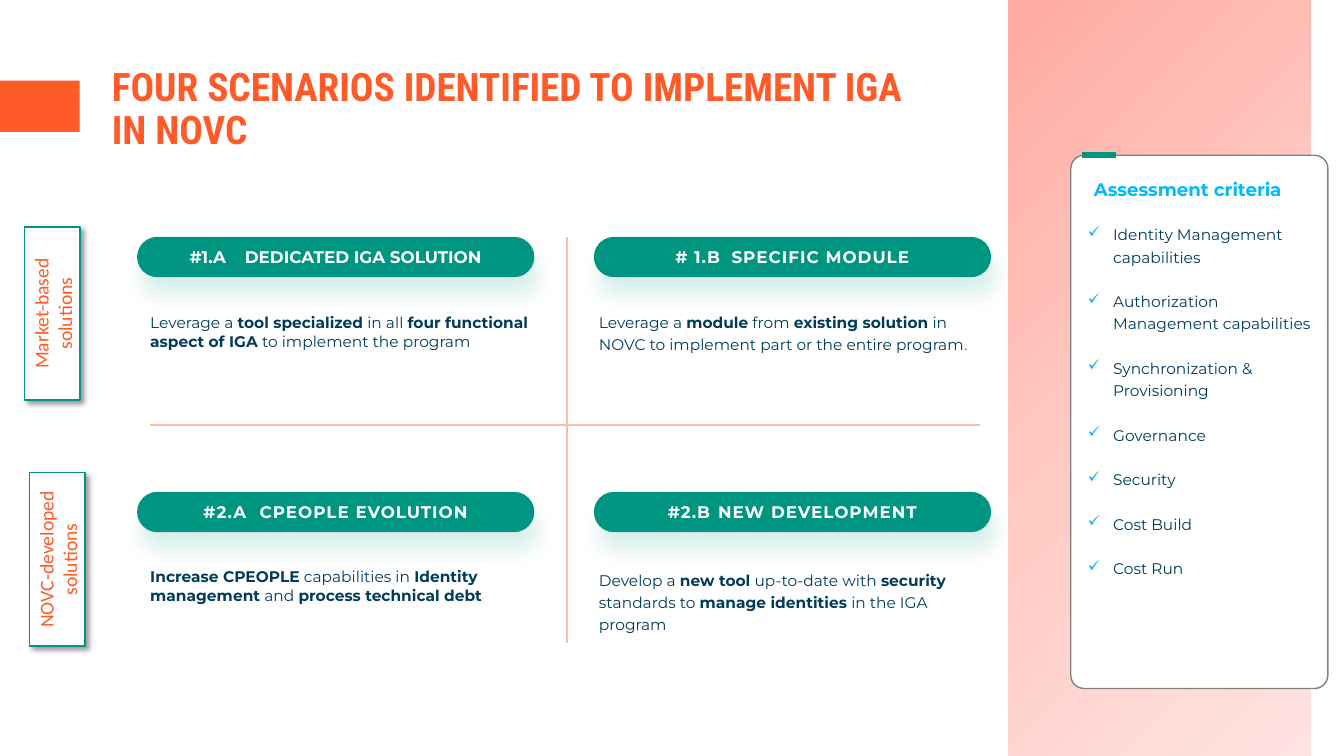
"""Build the slide on four scenarios to implement IGA."""
import pptx
import pptx.dml.color
import pptx.enum.shapes
import pptx.enum.text
import pptx.oxml
import pptx.util
from lxml import etree

TITLE = "FOUR SCENARIOS IDENTIFIED TO IMPLEMENT IGA IN NOVC"
CRITERIA_HEADING = "Assessment criteria"
CRITERIA = (
    "Identity Management capabilities",
    "Authorization Management capabilities",
    "Synchronization & Provisioning",
    "Governance",
    "Security",
    "Cost Build",
    "Cost Run",
)
FAMILIES = (
    ("Market-based solutions", 0.52, 3.11),
    ("NOVC-developed solutions", 0.57, 5.55),
)
# Wording alternates between regular and bold, starting with regular.
SCENARIOS = (
    dict(column=0, row=0, label="#1.A\t DEDICATED IGA SOLUTION", tracking=0, wrap=False,
         drop=0.76, width=3.91, after=0, closing="",
         wording=("Leverage a ", "tool specialized", " in all ",
                  "four functional aspect of IGA", " to implement the program")),
    dict(column=0, row=1, label="#2.A\t CPEOPLE EVOLUTION", tracking=70, wrap=True,
         drop=0.75, width=3.58, after=4, closing="",
         wording=("", "Increase CPEOPLE", " capabilities in ", "Identity management",
                  " and ", "process technical debt")),
    dict(column=1, row=0, label="# 1.B\t SPECIFIC MODULE", tracking=70, wrap=False,
         drop=0.72, width=3.94, after=10, closing=".",
         wording=("Leverage a ", "module", " from ", "existing solution",
                  " in NOVC to implement part or the entire program")),
    dict(column=1, row=1, label="#2.B\tNEW\u00a0DEVELOPMENT".replace("\u00a0", " "),
         tracking=70, wrap=True, drop=0.75, width=3.58, after=10, closing="",
         wording=("Develop a ", "new tool", " up-to-date with ", "security",
                  " standards to ", "manage identities", " in the IGA program")),
)
COLOURS = dict(orange="FF5A28", green="009580", navy="003C5A", teal="006B8D", sky="00B9FF",
               tick="00B0F0", peach="FFBDA9", grey="808080", white="FFFFFF", black="000000")
SIDEBAR_FADE = ((0, "FFABA1"), (50, "FFCCC6"), (100, "FFE6E3"))
SIDEBAR_OUTLINE = ((10.45, 0), (13.33, 0), (13.33, 7.5), (10.17, 7.5), (10.18, 6.96),
                   (10.32, 3.39))
WIDTH, HEIGHT = 13.33, 7.5
COLUMNS, ROWS = (1.36, 5.89), (2.35, 4.88)
BODY_INDENTS, BODY_SPACING = (0.13, 0.05), (1.0, 1.2)
PILL = (3.94, 0.4)
TAG = (1.72, 0.55)

Inches, Pt = pptx.util.Inches, pptx.util.Pt
SHAPES = pptx.enum.shapes.MSO_SHAPE
MIDDLE = pptx.enum.text.MSO_ANCHOR.MIDDLE
CENTER = pptx.enum.text.PP_ALIGN.CENTER
DRAWING = "http://schemas.openxmlformats.org/drawingml/2006/main"


def rgb(name):
    return pptx.dml.color.RGBColor.from_string(COLOURS.get(name, name))


def child(parent, tag, **attributes):
    return etree.SubElement(parent, f"{{{DRAWING}}}{tag}",
                            {key: str(value) for key, value in attributes.items()})


def add_run(paragraph, wording, size, face, colour, bold=False, tracking=0):
    run = paragraph.add_run()
    run.text = wording
    run.font.size, run.font.name, run.font.bold = Pt(size), face, bold
    run.font.color.rgb = rgb(colour)
    if tracking:
        run.font._element.set("spc", str(tracking))


def set_margins(frame, horizontal=0, vertical=0):
    frame.margin_left = frame.margin_right = Inches(horizontal)
    frame.margin_top = frame.margin_bottom = Inches(vertical)


def add_text(slide, box, horizontal=0):
    frame = slide.shapes.add_textbox(*map(Inches, box)).text_frame
    frame.word_wrap = True
    set_margins(frame, horizontal)
    return frame


def add_panel(slide, preset, box, fill, line=None):
    panel = slide.shapes.add_shape(preset, *map(Inches, box))
    panel.shadow.inherit = False
    panel.fill.solid()
    panel.fill.fore_color.rgb = rgb(fill)
    if line:
        panel.line.color.rgb = rgb(line)
        panel.line.width = Pt(1)
    else:
        panel.line.fill.background()
    return panel


def add_shadow(panel, colour, opacity, blur, distance, angle):
    effects = panel._element.spPr.find(f"{{{DRAWING}}}effectLst")
    shadow = child(effects, "outerShdw", blurRad=Pt(blur), dist=Pt(distance),
                   dir=angle * 60000, algn="t", rotWithShape=0)
    child(child(shadow, "srgbClr", val=COLOURS[colour]), "alpha", val=opacity * 1000)


def add_line(slide, start, end, colour, width):
    line = slide.shapes.add_connector(pptx.enum.shapes.MSO_CONNECTOR.STRAIGHT,
                                      *map(Inches, start + end))
    line.line.color.rgb = rgb(colour)
    line.line.width = Pt(width)
    child(line._element.spPr, "effectLst")


def add_title(slide):
    add_panel(slide, SHAPES.RECTANGLE, (0, 0.8, 0.79, 0.51), "orange")
    frame = add_text(slide, (1.07, 0.76, 7.95, 0.67), 0.04)
    frame.vertical_anchor = MIDDLE
    frame.paragraphs[0].line_spacing = 0.9
    add_run(frame.paragraphs[0], TITLE, 28, "Roboto Condensed", "orange", True)


def add_sidebar(slide):
    builder = slide.shapes.build_freeform(*SIDEBAR_OUTLINE[0], scale=Inches(1))
    builder.add_line_segments(SIDEBAR_OUTLINE[1:], close=True)
    sidebar = builder.convert_to_shape()
    sidebar.shadow.inherit = False
    sidebar.line.fill.background()
    sidebar.fill.gradient()
    sidebar.fill.gradient_angle = 315
    stops = sidebar._element.spPr.find(f".//{{{DRAWING}}}gsLst")
    for stop in list(stops):
        stops.remove(stop)
    for position, colour in SIDEBAR_FADE:
        child(child(stops, "gs", pos=position * 1000), "srgbClr", val=colour)


def add_criteria(slide):
    card = add_panel(slide, SHAPES.ROUNDED_RECTANGLE, (10.62, 1.54, 2.55, 5.29), "white", "grey")
    card.adjustments[0] = 0.052
    heading = add_text(slide, (10.85, 1.77, 2.05, 0.19))
    add_run(heading.paragraphs[0], CRITERIA_HEADING, 13, "Montserrat", "sky", True)
    add_line(slide, (10.73, 1.54), (11.07, 1.54), "green", 4.25)
    checklist = add_text(slide, (10.79, 2.2, 2.27, 3.55))
    for index, criterion in enumerate(CRITERIA):
        entry = checklist.add_paragraph() if index else checklist.paragraphs[0]
        properties = entry._p.get_or_add_pPr()
        properties.set("marL", str(Inches(0.25)))
        properties.set("indent", str(-Inches(0.25)))
        child(child(properties, "buClr"), "srgbClr", val=COLOURS["tick"])
        child(properties, "buChar", char="✓")
        entry.line_spacing, entry.space_after = 1.2, Pt(16)
        add_run(entry, criterion, 11, "Montserrat", "navy")


def add_scenario(slide, scenario):
    column, row = scenario["column"], scenario["row"]
    left, top = COLUMNS[column], ROWS[row]
    pill = add_panel(slide, SHAPES.ROUNDED_RECTANGLE, (left, top) + PILL, "green")
    pill.adjustments[0] = 0.5
    add_shadow(pill, "green", 14, 14, 13, 78)
    frame = pill.text_frame
    set_margins(frame, 0.2, 0.04)
    frame.word_wrap, frame.vertical_anchor = scenario["wrap"], MIDDLE
    frame.paragraphs[0].alignment = CENTER
    add_run(frame.paragraphs[0], scenario["label"], 12, "Montserrat", "white", True,
            scenario["tracking"])
    body = add_text(slide, (left + BODY_INDENTS[column], top + scenario["drop"],
                            scenario["width"], 0.65 if column else 0.37)).paragraphs[0]
    body.line_spacing, body.space_after = BODY_SPACING[column], Pt(scenario["after"])
    for index, wording in enumerate(scenario["wording"]):
        if wording:
            add_run(body, wording, 11, "Montserrat", "navy", index % 2 == 1)
    if scenario["closing"]:
        add_run(body, scenario["closing"], 11, "Montserrat", "teal")


def add_family(slide, wording, centre, middle):
    width, height = TAG
    tag = add_panel(slide, SHAPES.RECTANGLE,
                    (centre - width / 2, middle - height / 2, width, height), "white", "green")
    tag.rotation = 270
    add_shadow(tag, "black", 40, 4, 3, 45)
    tag.text_frame.word_wrap, tag.text_frame.vertical_anchor = True, MIDDLE
    tag.text_frame.paragraphs[0].alignment = CENTER
    add_run(tag.text_frame.paragraphs[0], wording, 14, "Calibri", "orange")


def main():
    deck = pptx.Presentation()
    deck.slide_width, deck.slide_height = Inches(WIDTH), Inches(HEIGHT)
    slide = deck.slides.add_slide(deck.slide_layouts[6])
    add_title(slide)
    add_sidebar(slide)
    add_criteria(slide)
    for scenario in SCENARIOS:
        add_scenario(slide, scenario)
    add_line(slide, (5.62, 2.35), (5.62, 6.38), "peach", 1.5)
    add_line(slide, (9.72, 4.22), (1.49, 4.22), "peach", 1.5)
    for family in FAMILIES:
        add_family(slide, *family)
    deck.save("out.pptx")


if __name__ == "__main__":
    main()
